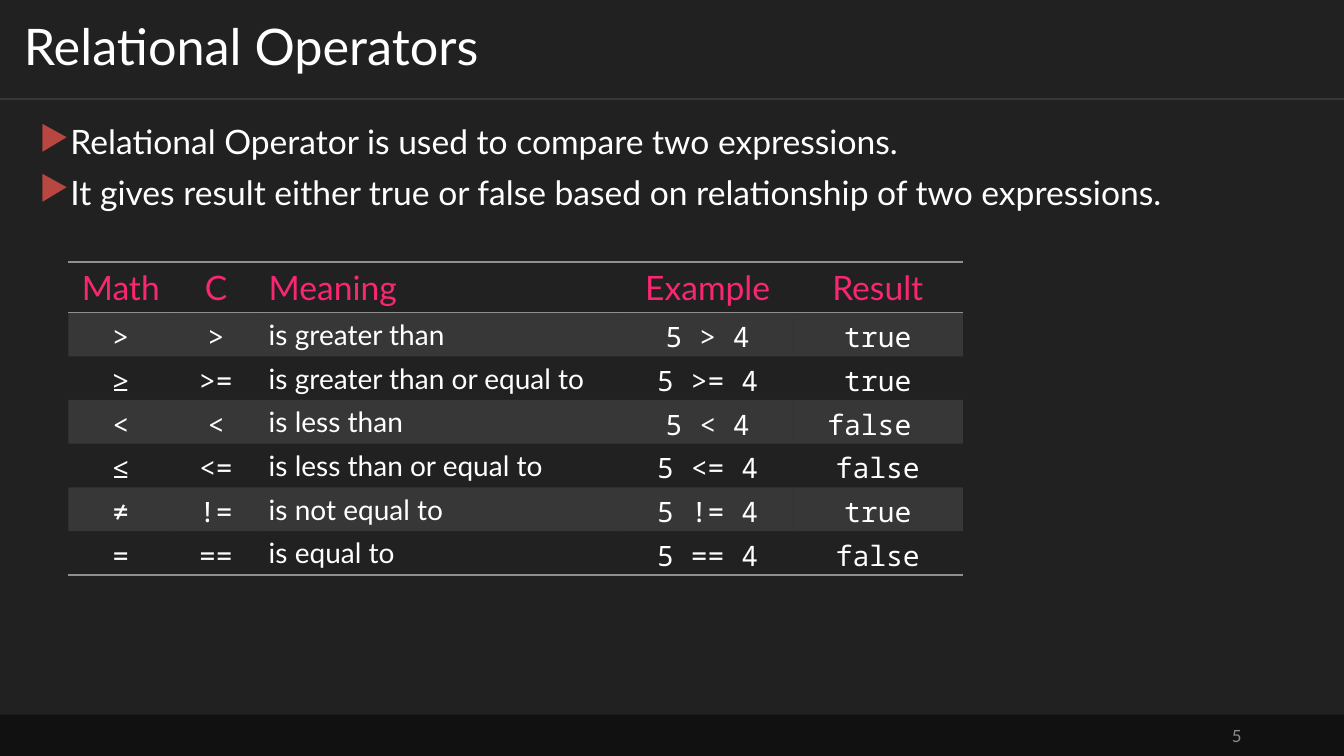
from pptx import Presentation
from pptx.dml.color import RGBColor
from pptx.enum.shapes import MSO_CONNECTOR, MSO_SHAPE
from pptx.enum.text import MSO_ANCHOR, PP_ALIGN
from pptx.oxml import parse_xml
from pptx.oxml.ns import nsdecls, qn
from pptx.util import Pt
from lxml.etree import SubElement

TITLE = "Relational Operators"
BULLETS = [
    "Relational Operator is used to compare two expressions.",
    "It gives result either true or false based on relationship of two expressions.",
]
HEADINGS = ("Math", "C", "Meaning", "Example", "Result")
OPERATORS = [
    (">", ">", "is greater than", "5 > 4", "true"),
    ("≥", ">=", "is greater than or equal to", "5 >= 4", "true"),
    ("<", "<", "is less than", "5 < 4", "false "),
    ("≤", "<=", "is less than or equal to", "5 <= 4", "false"),
    ("≠", "!=", "is not equal to", "5 != 4", "true"),
    ("=", "==", "is equal to", "5 == 4", "false"),
]
PAGE_NUMBER = "5"

COLORS = {
    "background": "212121", "footer": "111111", "text": "FFFFFF",
    "bullet": "B84742", "heading": "F92672", "rule": "909090", "number": "8D8D8D",
}
TEXT_FONT, CODE_FONT = "Lato", "Noto Sans Mono"
WIDTH, HEIGHT = 960, 540
HEADER_HEIGHT = 70.8
FOOTER_TOP = 510.4
COLUMN_WIDTHS = (75, 61, 260, 121.5, 121.5)
ROW_HEIGHT = 29.5
MEANING_COLUMN = HEADINGS.index("Meaning")
PLAIN_TABLE_STYLE = "{2D5ABB26-0587-4C30-8999-92F81FD0307C}"


def color(name):
    return RGBColor.from_string(COLORS[name])


def write(paragraph, text, size=24, font=TEXT_FONT, fill="text",
          align=PP_ALIGN.LEFT, line_spacing=None):
    paragraph.alignment = align
    if line_spacing:
        paragraph.line_spacing = line_spacing
    run = paragraph.add_run()
    run.text = text
    run.font.size = Pt(size)
    run.font.name = font
    run.font.color.rgb = color(fill)


def set_alpha(element, percent):
    rgb = next(element.iter(qn("a:srgbClr")))
    SubElement(rgb, qn("a:alpha"), val=str(percent * 1000))


def add_bullet(paragraph, indent=21):
    properties = paragraph._p.get_or_add_pPr()
    properties.set("marL", str(Pt(indent)))
    properties.set("indent", str(-Pt(indent)))
    bullet_color = SubElement(properties, qn("a:buClr"))
    SubElement(bullet_color, qn("a:srgbClr"), val=COLORS["bullet"])
    SubElement(properties, qn("a:buChar"), char="▶")


def add_border(cell, tag):
    cell._tc.get_or_add_tcPr().append(parse_xml(
        f'<a:{tag} {nsdecls("a")} w="{Pt(1)}"><a:solidFill>'
        f'<a:srgbClr val="{COLORS["rule"]}"/></a:solidFill></a:{tag}>'))


def add_text_frame(slide, left, top, width, height):
    frame = slide.shapes.add_textbox(Pt(left), Pt(top), Pt(width), Pt(height)).text_frame
    frame.word_wrap = True
    return frame


def add_frame(slide):
    """Background, header line, footer bar and page number."""
    slide.background.fill.solid()
    slide.background.fill.fore_color.rgb = color("background")

    line = slide.shapes.add_connector(
        MSO_CONNECTOR.STRAIGHT, 0, Pt(HEADER_HEIGHT), Pt(WIDTH), Pt(HEADER_HEIGHT))
    line.line.width = Pt(0.5)
    line.line.color.rgb = color("text")
    properties = line._element.spPr
    set_alpha(properties, 30)
    SubElement(properties, qn("a:effectLst"))

    footer = slide.shapes.add_shape(
        MSO_SHAPE.RECTANGLE, 0, Pt(FOOTER_TOP), Pt(WIDTH), Pt(HEIGHT - FOOTER_TOP))
    footer.shadow.inherit = False
    footer.fill.solid()
    footer.fill.fore_color.rgb = color("footer")
    footer.line.fill.background()

    number = add_text_frame(slide, 678, 511, 216, 29)
    number.vertical_anchor = MSO_ANCHOR.MIDDLE
    write(number.paragraphs[0], PAGE_NUMBER, size=12, fill="number", align=PP_ALIGN.RIGHT)


def add_title(slide):
    title = slide.shapes.title
    title.left, title.top, title.width, title.height = 0, 0, Pt(WIDTH), Pt(HEADER_HEIGHT)
    frame = title.text_frame
    frame.vertical_anchor = MSO_ANCHOR.MIDDLE
    frame.margin_left = frame.margin_right = Pt(17)
    frame.margin_top = frame.margin_bottom = Pt(8.5)
    write(frame.paragraphs[0], TITLE, size=36, line_spacing=0.9)


def add_bullets(slide):
    frame = add_text_frame(slide, 21, 86.4, 919, 411)
    for index, text in enumerate(BULLETS):
        paragraph = frame.add_paragraph() if index else frame.paragraphs[0]
        add_bullet(paragraph)
        if index:
            paragraph.space_before = Pt(10)
        write(paragraph, text, line_spacing=0.9)


def add_operator_table(slide):
    rows = [HEADINGS] + OPERATORS
    table = slide.shapes.add_table(
        len(rows), len(HEADINGS), Pt(48.8), Pt(187.2),
        Pt(sum(COLUMN_WIDTHS)), Pt(ROW_HEIGHT * len(rows))).table
    table.first_row = table.horz_banding = False
    table._tbl.tblPr.find(qn("a:tableStyleId")).text = PLAIN_TABLE_STYLE
    for column, width in zip(table.columns, COLUMN_WIDTHS):
        column.width = Pt(width)

    for row_index, row in enumerate(rows):
        table.rows[row_index].height = Pt(ROW_HEIGHT)
        is_heading = row_index == 0
        for column_index, text in enumerate(row):
            cell = table.cell(row_index, column_index)
            is_meaning = column_index == MEANING_COLUMN
            write(cell.text_frame.paragraphs[0], text,
                  size=24 if is_heading else 20,
                  font=TEXT_FONT if is_heading or is_meaning else CODE_FONT,
                  fill="heading" if is_heading else "text",
                  align=PP_ALIGN.LEFT if is_meaning else PP_ALIGN.CENTER)
            if is_heading:
                add_border(cell, "lnT")
            if is_heading or row_index == len(rows) - 1:
                add_border(cell, "lnB")
            if row_index % 2:
                cell.fill.solid()
                cell.fill.fore_color.rgb = color("rule")
                set_alpha(cell._tc.tcPr.find(qn("a:solidFill")), 20)
            else:
                cell.fill.background()


def main():
    presentation = Presentation()
    presentation.slide_width, presentation.slide_height = Pt(WIDTH), Pt(HEIGHT)
    slide = presentation.slides.add_slide(presentation.slide_layouts[5])
    add_frame(slide)
    add_title(slide)
    add_bullets(slide)
    add_operator_table(slide)
    presentation.save("out.pptx")


if __name__ == "__main__":
    main()
